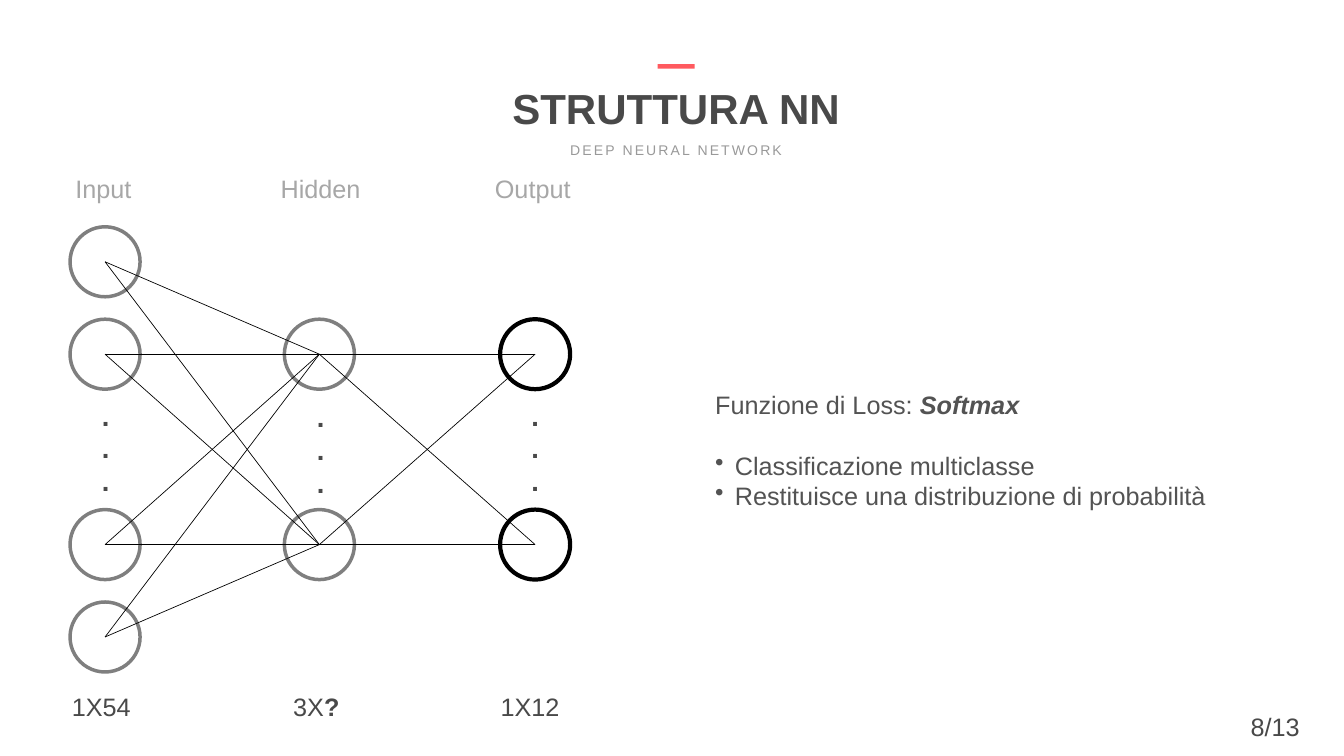
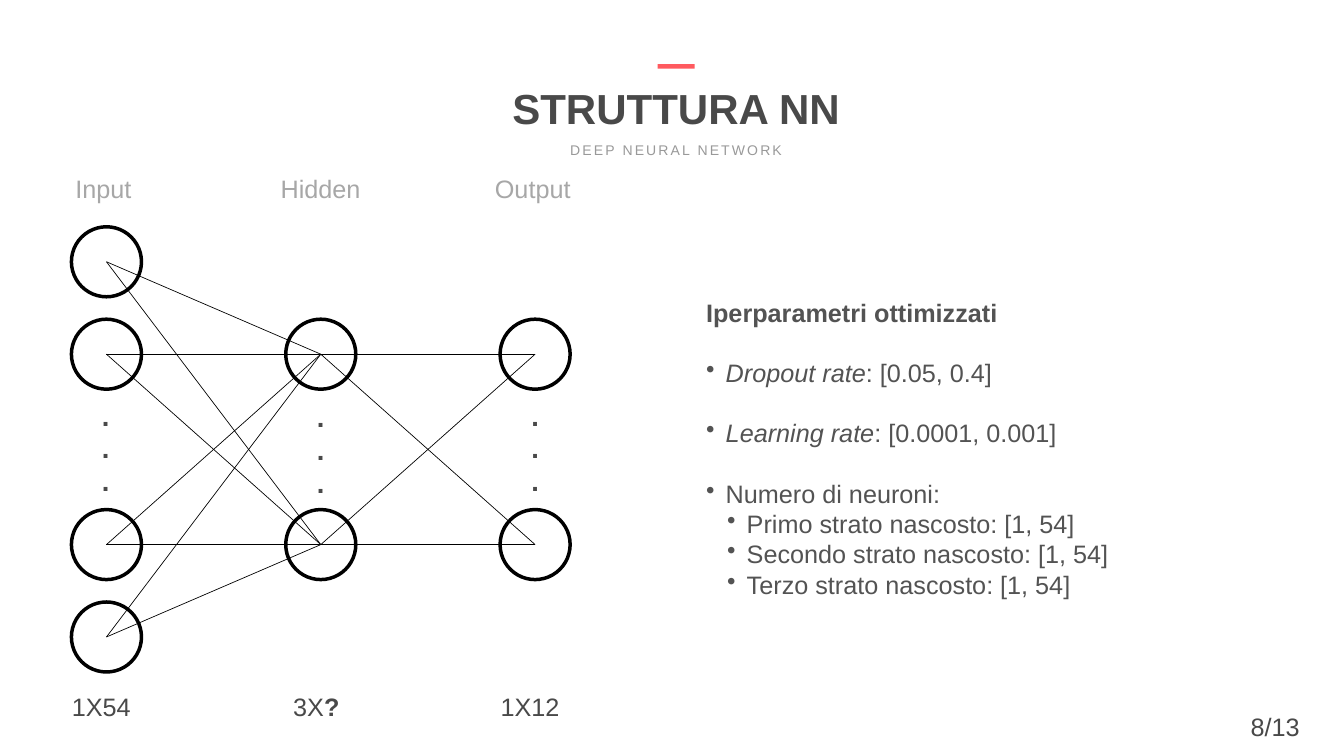
from itertools import pairwise, product

from lxml import etree
from pptx import Presentation
from pptx import util as u
from pptx.dml.color import RGBColor
from pptx.enum import shapes, text
from pptx.oxml import ns

COLORS = {
    "ink": "494949", "body": "535353", "subtitle": "999999", "heading": "A7A7A7",
    "accent": "FF5A5F", "node": "FFFFFF", "line": "000000",
}
FONT = "Arial"
LEADING = 1.2
INSET = 3.6
INDENT = 28

LABEL = {"size": 36, "color": "ink"}
HEADING = {"size": 36, "color": "heading"}
BODY = {"size": 36, "color": "body"}
DOTS = {"size": 39, "color": "ink", "bold": True, "align": text.PP_ALIGN.CENTER,
        "anchor": text.MSO_ANCHOR.MIDDLE}
TITLE = {"size": 60, "color": "ink", "bold": True, "align": text.PP_ALIGN.CENTER,
         "anchor": text.MSO_ANCHOR.BOTTOM}
SUBTITLE = {"size": 20, "color": "subtitle", "align": text.PP_ALIGN.CENTER, "spacing": 3}
PAGE = {"size": 36, "color": "ink", "align": text.PP_ALIGN.CENTER}

NODE = 100
NODE_ROWS = (130, 262, 534, 666)
LAYERS = (  # heading, its left, size label, its left, dots centre, dots top, node rows
    ("Input", 5, [("1X54", {})], 0, 52, 322, NODE_ROWS),
    ("Hidden", 298, [("3X", {}), ("?", {"bold": True})], 316, 359, 324, NODE_ROWS[1:3]),
    ("Output", 604, [("1X12", {})], 612, 665, 322, NODE_ROWS[1:3]),
)

# Each paragraph: runs, bullet level (0 for none), blank lines before it
LOSS = (
    ([("Funzione di Loss: ", {}), ("Softmax", {"bold": True, "italic": True})], 0, 0),
    ([("Classificazione multiclasse", {})], 1, 1),
    ([("Restituisce una distribuzione di probabilità", {})], 1, 0),
)
HYPERPARAMETERS = (
    ([("Iperparametri ottimizzati", {"bold": True})], 0, 0),
    ([("Dropout rate", {"italic": True}), (": [0.05, 0.4]", {})], 1, 1),
    ([("Learning rate", {"italic": True}), (": [0.0001, 0.001]", {})], 1, 1),
    ([("Numero di neuroni:", {})], 1, 1),
    ([("Primo strato nascosto: [1, 54]", {})], 2, 0),
    ([("Secondo strato nascosto: [1, 54]", {})], 2, 0),
    ([("Terzo strato nascosto: [1, 54]", {})], 2, 0),
)


def rgb(color):
    return RGBColor.from_string(COLORS[color])


def points(*lengths):
    return [u.Pt(length) for length in lengths]


def add_bullet(paragraph, level):
    paragraph.level = level - 1
    props = paragraph._p.get_or_add_pPr()
    props.set("marL", str(u.Pt(INDENT + 30 * (level - 1))))
    props.set("indent", str(u.Pt(-INDENT)))
    etree.SubElement(props, ns.qn("a:buChar")).set("char", "•")


def write(shape, paragraphs, style):
    """Fill a shape with (runs, bullet level, blank lines before) paragraphs."""
    frame = shape.text_frame
    settings = {
        "word_wrap": True, "auto_size": text.MSO_AUTO_SIZE.NONE,
        "vertical_anchor": style.get("anchor", text.MSO_ANCHOR.TOP),
    }
    settings |= {f"margin_{side}": u.Pt(INSET) for side in ("left", "top", "right", "bottom")}
    for name, value in settings.items():
        setattr(frame, name, value)
    leading = u.Pt(round(style["size"] * LEADING, 1))
    for index, (runs, level, gap) in enumerate(paragraphs):
        paragraph = frame.add_paragraph() if index else frame.paragraphs[0]
        paragraph.alignment = style.get("align", text.PP_ALIGN.LEFT)
        paragraph.line_spacing = leading
        paragraph.space_before = gap * leading
        if level:
            add_bullet(paragraph, level)
        for words, emphasis in runs:
            run = paragraph.add_run()
            run.text = words
            look = {"name": FONT, "size": u.Pt(style["size"]),
                    "bold": style.get("bold", False), "italic": False} | emphasis
            for name, value in look.items():
                setattr(run.font, name, value)
            run.font.color.rgb = rgb(style["color"])
            if "spacing" in style:
                run._r.get_or_add_rPr().set("spc", str(style["spacing"] * 100))


def add_text(slide, box, paragraphs, style):
    write(slide.shapes.add_textbox(*points(*box)), paragraphs, style)


def line_of(words):
    return [([(words, {})], 0, 0)]


def add_header(slide, box, title, subtitle):
    left, top, width, _ = box
    heading = slide.shapes.title
    place = dict(zip(("left", "top", "width", "height"), points(left, top + 22, width, 80)))
    for name, value in place.items():
        setattr(heading, name, value)
    write(heading, line_of(title), TITLE)
    add_text(slide, (left + (width - 325) / 2, top + 106.5, 325, 32), line_of(subtitle), SUBTITLE)
    accent = slide.shapes.add_shape(
        shapes.MSO_SHAPE.RECTANGLE, *points(left + (width - 53) / 2, top, 53, 6.5))
    accent.shadow.inherit = False
    accent.fill.solid()
    accent.fill.fore_color.rgb = rgb("accent")
    accent.line.fill.background()


def add_neuron(slide, x, y, weight, faded):
    neuron = slide.shapes.add_shape(
        shapes.MSO_SHAPE.OVAL, *points(x - NODE / 2, y - NODE / 2, NODE, NODE))
    neuron.shadow.inherit = False
    neuron.fill.solid()
    neuron.fill.fore_color.rgb = rgb("node")
    neuron.line.color.rgb = rgb("line")
    neuron.line.width = u.Pt(weight)
    if faded:
        color = neuron.line._ln.find(".//" + ns.qn("a:srgbClr"))
        etree.SubElement(color, ns.qn("a:alpha")).set("val", "50000")


def add_synapse(slide, start, end):
    synapse = slide.shapes.add_connector(
        shapes.MSO_CONNECTOR.STRAIGHT, *points(*start, *end))
    synapse.line.color.rgb = rgb("line")
    synapse.line.width = u.Pt(1)
    etree.SubElement(synapse._element.spPr, ns.qn("a:effectLst"))


def add_network(slide, box, layer_centres, looks):
    """Draw the layers; looks gives each layer's outline weight and whether it is faded."""
    left, top, _, height = box
    neurons = []
    for layer, centre, look in zip(LAYERS, layer_centres, looks):
        heading, heading_x, size, size_x, dots_x, dots_y, rows = layer
        neurons.append([(left + centre, top + row) for row in rows])
        for x, y in neurons[-1]:
            add_neuron(slide, x, y, *look)
        add_text(slide, (left + heading_x, top, 122, 50), line_of(heading), HEADING)
        add_text(slide, (left + size_x, top + height - 50, 105, 50), [(size, 0, 0)], LABEL)
        add_text(slide, (left + dots_x - 26, top + dots_y, 52, 148), line_of(".") * 3, DOTS)
    for sources, targets in pairwise(neurons):
        for start, end in product(sources, targets):
            add_synapse(slide, start, end)


def add_network_slide(deck, layer_centres, looks, notes_box, paragraphs):
    slide = deck.slides.add_slide(deck.slide_layouts[5])
    add_header(slide, (554.5, 91.5, 821.5, 139), "STRUTTURA NN", "DEEP NEURAL NETWORK")
    add_network(slide, (99, 244, 725, 790), layer_centres, looks)
    add_text(slide, notes_box, paragraphs, BODY)
    add_text(slide, (1743, 1012, 155, 50), line_of("8/13"), PAGE)


def main():
    deck = Presentation()
    deck.slide_width, deck.slide_height = points(1918.8, 1080)
    add_network_slide(deck, (51, 357, 665), ((5, True), (5, True), (6, False)),
                      (1017.5, 553, 790, 179), LOSS)
    add_network_slide(deck, (53, 359, 665), ((5, False),) * 3,
                      (1004.5, 420.5, 790, 437), HYPERPARAMETERS)
    deck.save("out.pptx")


if __name__ == "__main__":
    main()
